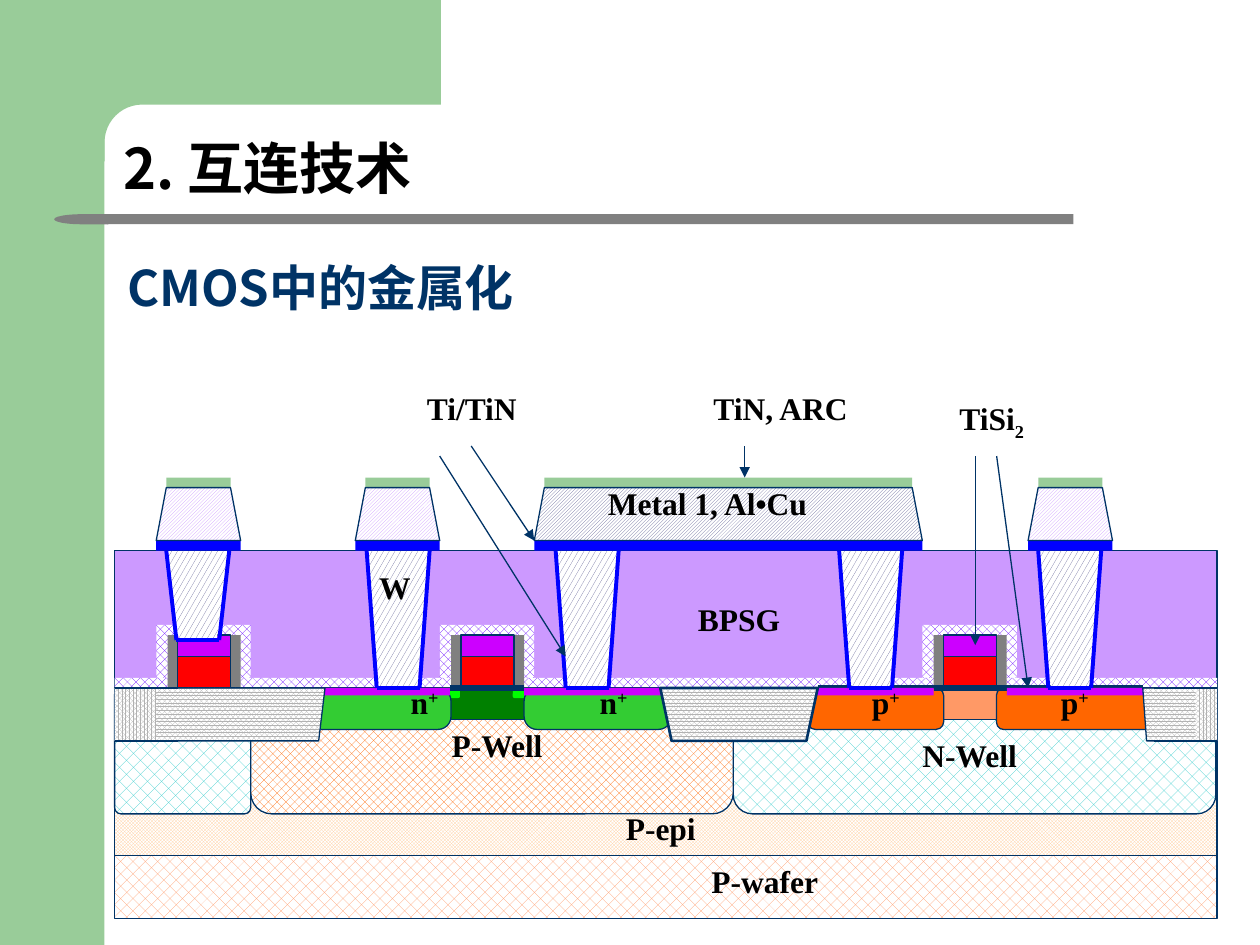
"""Build a slide showing the metallization cross-section of a CMOS device."""
from math import cos, pi, sin

from lxml import etree
from pptx import Presentation
from pptx.dml.color import RGBColor
from pptx.enum.dml import MSO_PATTERN
from pptx.enum.shapes import MSO_CONNECTOR, MSO_SHAPE
from pptx.enum.text import MSO_ANCHOR, MSO_AUTO_SIZE, PP_ALIGN
from pptx.oxml.ns import qn
from pptx.util import Inches, Pt

RECT, ROUND = MSO_SHAPE.RECTANGLE, MSO_SHAPE.ROUNDED_RECTANGLE
DELAY, PLUG = MSO_SHAPE.FLOWCHART_DELAY, MSO_SHAPE.FLOWCHART_MANUAL_OPERATION
STRAIGHT = MSO_CONNECTOR.STRAIGHT
BOTTOM, TOP = MSO_ANCHOR.BOTTOM, MSO_ANCHOR.TOP
LEFT, CENTER = PP_ALIGN.LEFT, PP_ALIGN.CENTER
NO_FIT, FIT = MSO_AUTO_SIZE.NONE, MSO_AUTO_SIZE.SHAPE_TO_FIT_TEXT

THEME = {
    "heading_font": "Noto Sans CJK SC", "label_font": "Times New Roman",
    "section_size": 32, "title_size": 28, "label_size": 18,
    "black": "000000", "navy": "003366", "blue": "0000FF", "green": "99CC99",
    "grey": "808080", "bpsg": "CC99FF", "n_channel": "008000", "ldd": "00FF00",
    "n_plus": "33CC33", "p_channel": "FF9966", "p_plus": "FF6600",
    "poly": "FF0000", "silicide": "CC00FF",
    "liner": (MSO_PATTERN.PERCENT_50, "6600FF"),
    "epi": (MSO_PATTERN.SMALL_CHECKER_BOARD, "FFCC99"),
    "wafer": (MSO_PATTERN.PERCENT_30, "FF9966"),
    "n_well": (MSO_PATTERN.PERCENT_25, "33CCCC"),
    "p_well": (MSO_PATTERN.PERCENT_50, "FF6600"),
    "oxide": (MSO_PATTERN.PERCENT_80, "B2B2B2"),
    "tungsten": (MSO_PATTERN.LARGE_CONFETTI, "666699"),
    "metal": (MSO_PATTERN.DARK_UPWARD_DIAGONAL, "666699"),
    "small_metal": (MSO_PATTERN.DARK_UPWARD_DIAGONAL, "CC99FF"),
}
THIN, MEDIUM, BARRIER, THICK = 0.75, 1.5, 2.25, 3

SECTION, TITLE = "2. 互连技术", "CMOS中的金属化"
SURFACE, BPSG_TOP, METAL_TOP, METAL_BOTTOM = 5.46, 4.37, 3.87, 4.29
DIE_LEFT, DIE_RIGHT, FILM = 0.91, 9.66, 0.08
DIE_WIDTH = DIE_RIGHT - DIE_LEFT
TRENCH_DEPTH = 0.42

GATES = [1.41, 3.66, 7.49]
WELLS = [(5.82, 3.83, 0.153, "n_well"), (0.91, 1.08, 0.05, "n_well"),
         (1.99, 3.83, 0.167, "p_well")]
CHANNELS = [(2.41, 2.92, "n_channel"), (6.41, 2.75, "p_channel")]
LDD_REGIONS = [(2.57, 1.08), (4.07, 1.17)]
DIFFUSIONS = [(4.16, 1.17, 0.312, "n_plus"), (2.41, 1.17, 0.312, "n_plus"),
              (6.41, 1.08, 0.188, "p_plus"), (7.91, 1.33, 0.167, "p_plus")]
GATE_OXIDES = [(3.57, 4.16), (7.41, 7.99)]
SILICIDES = [2.32, 4.16, 6.16, 7.99]
TRENCHES = [(0.91, 1.67, 0.05, THIN), (5.24, 1.25, 0.09, MEDIUM), (9.07, 0.5, 0.03, THIN)]
TRENCH_ENDS = [(0.91, 0.33, 0.91, 1.41), (9.49, 0.17, 9.16, 9.66)]
CONTACTS = [(1.32, 5.08), (2.91, SURFACE), (4.41, SURFACE), (6.66, SURFACE), (8.24, SURFACE)]
METALS = [(1.24, 0.67, "small_metal"), (2.82, 0.67, "small_metal"),
          (4.24, 3.08, "metal"), (8.16, 0.67, "small_metal")]
LABELS = [
    ("P-wafer", 5.32, 6.79, 1.5), ("N-Well", 7.07, 5.79, 1.25),
    ("P-Well", 3.32, 5.71, 1.25), ("P-epi", 4.66, 6.37, 1.17),
    ("n", 4.41, 5.37, 0.92, "+", 30), ("n", 2.91, 5.37, 0.92, "+", 30),
    ("p", 6.74, 5.37, 0.58, "+", 30), ("p", 8.24, 5.37, 0.58, "+", 30),
    ("Metal 1, Al•Cu", 4.49, 3.79, 2.25), ("BPSG", 4.99, 4.71, 1.75),
    ("W", 2.8, 4.46, 0.67), ("TiSi", 7.41, 3.12, 0.92, "2", -25),
    ("TiN, ARC", 5.32, 3.04, 1.75), ("Ti/TiN", 3.16, 3.04, 1.17),
]
ARROWS = [(7.74, 3.62, 7.74, 5.12), (7.91, 3.62, 8.16, 5.46), (5.91, 3.54, 5.91, 3.79),
          (3.74, 3.54, 4.24, 4.29), (3.49, 3.62, 4.49, 5.21)]


def color(name):
    return RGBColor.from_string(THEME[name])


def style(shape, fill, outline):
    shape.shadow.inherit = False
    value = THEME[fill]
    if isinstance(value, tuple):
        shape.fill.patterned()
        shape.fill.pattern = value[0]
        shape.fill.fore_color.rgb = RGBColor.from_string(value[1])
        shape.fill.back_color.rgb = RGBColor(255, 255, 255)
    else:
        shape.fill.solid()
        shape.fill.fore_color.rgb = color(fill)
    if outline:
        shape.line.color.rgb = color("navy")
        shape.line.width = Pt(outline)
    else:
        shape.line.fill.background()


def block(slide, left, top, width, height, fill, outline=0, kind=RECT, corner=None):
    shape = slide.shapes.add_shape(kind, Inches(left), Inches(top), Inches(width), Inches(height))
    if corner is not None:
        shape.adjustments[0] = corner
    style(shape, fill, outline)
    return shape


def polygon(slide, points, fill, outline=0):
    corners = [(Inches(x), Inches(y)) for x, y in points]
    builder = slide.shapes.build_freeform(*corners[0])
    builder.add_line_segments(corners[1:], close=True)
    style(builder.convert_to_shape(), fill, outline)


def line(slide, start_x, start_y, end_x, end_y, ink="navy", weight=THIN, arrow=False):
    connector = slide.shapes.add_connector(
        STRAIGHT, Inches(start_x), Inches(start_y), Inches(end_x), Inches(end_y))
    connector.line.color.rgb = color(ink)
    connector.line.width = Pt(weight)
    if arrow:
        etree.SubElement(connector.line._get_or_add_ln(), qn("a:tailEnd"), type="triangle")
    etree.SubElement(connector._element.spPr, qn("a:effectLst"))


def write(shape, text, face, size, ink, align=LEFT, anchor=BOTTOM, fit=NO_FIT):
    frame = shape.text_frame
    frame.word_wrap, frame.auto_size, frame.vertical_anchor = True, fit, anchor
    paragraph = frame.paragraphs[0]
    paragraph.alignment = align
    paragraph.add_run().text = text
    font = paragraph.font
    font.name, font.size, font.bold = THEME[face], Pt(THEME[size]), True
    font.color.rgb = color(ink)
    etree.SubElement(font._element, qn("a:ea"), typeface=THEME[face])
    return paragraph


def text_box(slide, left, top, width, height):
    return slide.shapes.add_textbox(Inches(left), Inches(top), Inches(width), Inches(height))


def draw_frame(slide):
    block(slide, 0, 0, 0.83, 7.5, "green")
    radius, corner_x, corner_y = 0.3, 1.13, 1.13
    arc = [(corner_x - radius * sin(step * pi / 24), corner_y - radius * cos(step * pi / 24))
           for step in range(13)]
    polygon(slide, [(0.5, 0), (3.5, 0), (3.5, 0.83), *arc, (0.83, 1.28), (0.5, 1.28)], "green")
    block(slide, 0.85, 1.7, 7.67, 0.08, "grey")
    block(slide, 0.43, 1.7, 0.43, 0.08, "grey", kind=DELAY).rotation = 180

    title = slide.shapes.title
    title.left, title.top, title.width, title.height = map(Inches, (0.91, 1.78, 4.33, 0.79))
    write(title, TITLE, "heading_font", "title_size", "navy").line_spacing = 0.9
    section = text_box(slide, 0.88, 0.89, 5.95, 0.76)
    write(section, SECTION, "heading_font", "section_size", "black").line_spacing = 0.9


def draw_silicon(slide):
    block(slide, DIE_LEFT, BPSG_TOP, DIE_WIDTH, SURFACE - BPSG_TOP, "bpsg", THIN)
    for left in GATES:
        block(slide, left - 0.17, 4.96, 0.75, 0.5, "liner")
    block(slide, DIE_LEFT, SURFACE - FILM, DIE_WIDTH, FILM, "liner")
    for left in GATES:
        block(slide, left - 0.08, 5.04, 0.58, 0.42, "grey")
    block(slide, DIE_LEFT, SURFACE, DIE_WIDTH, 1.42, "epi", THIN)
    block(slide, DIE_LEFT, 6.79, DIE_WIDTH, 0.5, "wafer", THIN)
    for left, width, corner, fill in WELLS:
        block(slide, left, SURFACE, width, 1, fill, THIN, ROUND, corner)
    for left, width, fill in CHANNELS:
        block(slide, left, SURFACE, width, 0.25, fill, THIN)
    for left, width in LDD_REGIONS:
        block(slide, left, SURFACE, width, FILM, "ldd", kind=ROUND)
    line(slide, 6.49, SURFACE, 9.07, SURFACE, weight=THICK)
    for left, width, corner, fill in DIFFUSIONS:
        block(slide, left, SURFACE, width, 0.33, fill, THIN, ROUND, corner)
    for left in GATES:
        block(slide, left, 5.21, 0.42, 0.25, "poly", THIN)
        block(slide, left, 5.04, 0.42, 0.17, "silicide", THIN)
    for start, end in GATE_OXIDES:
        line(slide, start, SURFACE, end, SURFACE, weight=THICK)
    for left in SILICIDES:
        block(slide, left, SURFACE, 1.25, 0.06, "silicide")
    floor = SURFACE + TRENCH_DEPTH
    for left, width, slope, outline in TRENCHES:
        right = left + width
        polygon(slide, [(left, SURFACE), (left + slope, floor),
                        (right - slope, floor), (right, SURFACE)], "oxide", outline)
    for left, width, start, end in TRENCH_ENDS:
        block(slide, left, SURFACE, width, TRENCH_DEPTH, "oxide")
        for level in (SURFACE, floor):
            line(slide, start, level, end, level)


def draw_metal(slide):
    for left, bottom in CONTACTS:
        block(slide, left, BPSG_TOP, 0.5, bottom - BPSG_TOP, "tungsten", kind=PLUG)
        corners = [(left, BPSG_TOP), (left + 0.08, bottom),
                   (left + 0.42, bottom), (left + 0.5, BPSG_TOP)]
        for start, end in zip(corners, corners[1:]):
            line(slide, *start, *end, "blue", BARRIER)
    for left, width, fill in METALS:
        right, slope = left + width, 0.08
        block(slide, left, METAL_BOTTOM, width, FILM, "blue")
        block(slide, left + slope, METAL_TOP - FILM, width - 2 * slope, FILM, "green")
        polygon(slide, [(left, METAL_BOTTOM), (left + slope, METAL_TOP),
                        (right - slope, METAL_TOP), (right, METAL_BOTTOM)], fill, THIN)


def draw_labels(slide):
    for text, left, top, width, *script in LABELS:
        paragraph = write(text_box(slide, left, top, width, 0.4), text,
                          "label_font", "label_size", "black", CENTER, TOP, FIT)
        if script:
            run = paragraph.add_run()
            run.text = script[0]
            run.font._element.set("baseline", str(script[1] * 1000))
    for arrow in ARROWS:
        line(slide, *arrow, arrow=True)


def main():
    presentation = Presentation()
    presentation.slide_width, presentation.slide_height = Inches(10), Inches(7.5)
    slide = presentation.slides.add_slide(presentation.slide_layouts[5])
    for draw in (draw_frame, draw_silicon, draw_metal, draw_labels):
        draw(slide)
    presentation.save("out.pptx")


if __name__ == "__main__":
    main()
